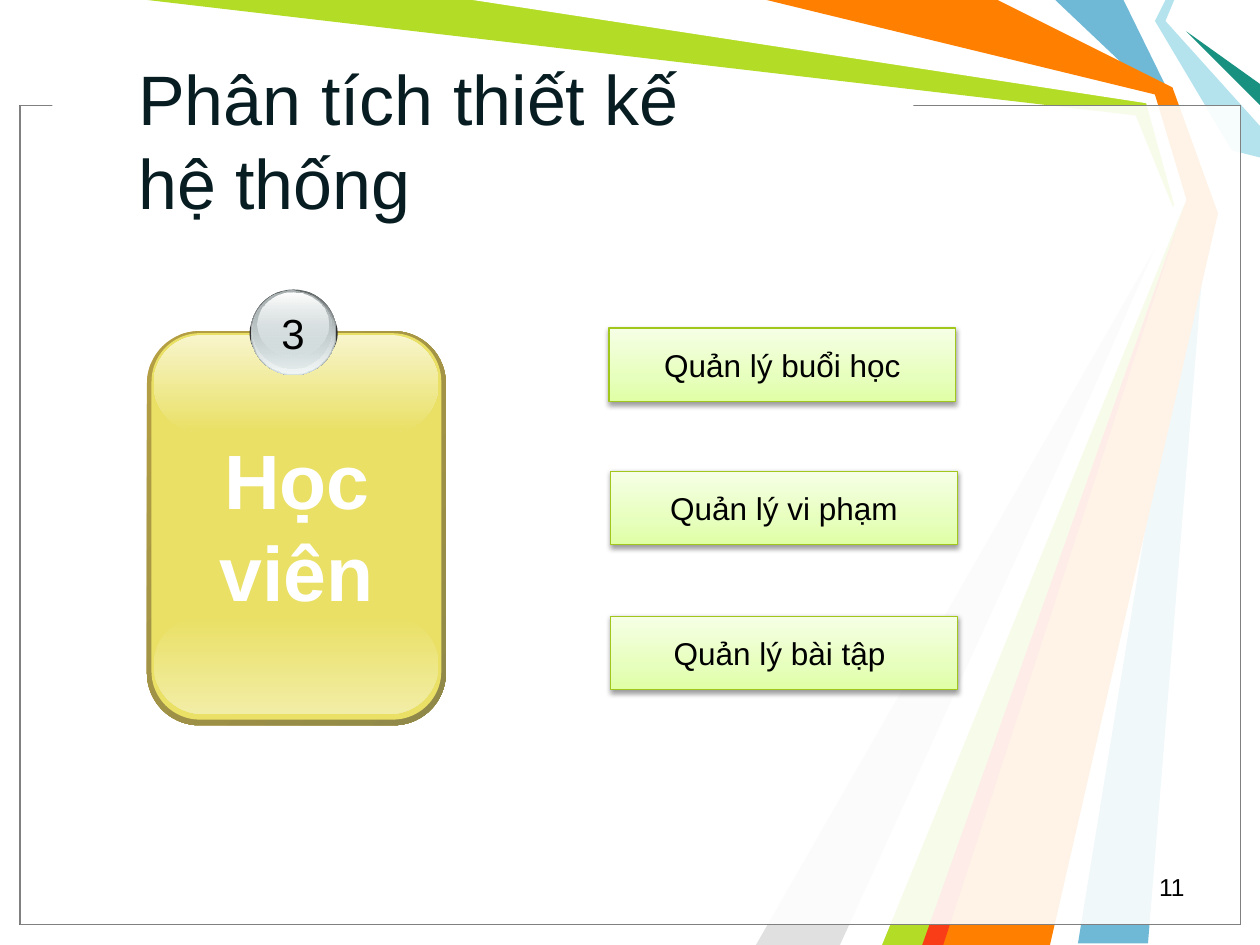
from lxml import etree
from pptx import Presentation
from pptx.dml.color import RGBColor as RGB
from pptx.enum.shapes import MSO_SHAPE as SHAPE
from pptx.enum.text import MSO_ANCHOR as ANCHOR, PP_ALIGN as ALIGN
from pptx.oxml import parse_xml
from pptx.oxml.ns import nsdecls, qn
from pptx.util import Pt

THEME = {
    "font": "Arial",
    "title_size": 40, "card_size": 44, "badge_size": 24, "button_size": 18, "page_size": 14,
    "title": "081D22", "text": "000000", "white": "FFFFFF",
    "blue": "6FB9D7", "green": "B3DC27", "grey": "E0E0E0", "pale": "B4E3EE",
    "teal": "189180", "orange": "FF7F00", "red": "F93D17",
    "frame": "808080", "button_line": "A1C71D", "card": "E9E065", "badge_rim": "333333",
    # Gradient stops: position, colour, opacity
    "button": [(0, "DFFFA4", 100), (35, "E7FFBE", 100), (100, "F6FFE6", 100)],
    "card_rim": [(0, "B59F43", 100), (100, "8F8849", 100)],
    "card_foot": [(0, "E9E065", 100), (100, "F2EDA6", 100)],
    "card_head": [(0, "F8F5CC", 100), (100, "E9E065", 100)],
    "badge_edge": [(0, "636869", 100), (100, "D6E1E2", 100)],
    "badge_body": [(0, "D6E1E2", 0), (100, "F1F5F5", 100)],
    "badge_shade": [(0, "AAB2B3", 100), (100, "D6E1E2", 48)],
    "badge_gloss": [(0, "FFFFFF", 100), (100, "D6E1E2", 38)],
}

prs = Presentation()
prs.slide_width, prs.slide_height = Pt(720), Pt(540)
shapes = prs.slides.add_slide(prs.slide_layouts[6]).shapes


def paint(s, fill, angle=90, line=None, opacity=100):
    """Fill with a theme colour or a list of gradient stops, and set the outline."""
    s.shadow.inherit = False
    fill = THEME[fill]
    if isinstance(fill, str):
        s.fill.solid()
        s.fill.fore_color.rgb = RGB.from_string(fill)
        if opacity < 100:
            color = s._element.spPr.find(qn("a:solidFill"))[0]
            etree.SubElement(color, qn("a:alpha"), val=str(opacity * 1000))
    else:
        stops = "".join(
            f'<a:gs pos="{pos * 1000}"><a:srgbClr val="{color}">'
            f'<a:alpha val="{alpha * 1000}"/></a:srgbClr></a:gs>'
            for pos, color, alpha in fill)
        s.fill.background()
        spPr = s._element.spPr
        spPr.replace(spPr.find(qn("a:noFill")), parse_xml(
            f'<a:gradFill {nsdecls("a")} rotWithShape="1"><a:gsLst>{stops}</a:gsLst>'
            f'<a:lin ang="{angle * 60000}" scaled="0"/></a:gradFill>'))
    if line:
        s.line.color.rgb = RGB.from_string(THEME[line])
        s.line.width = Pt(0.75)
    else:
        s.line.fill.background()


def write(s, text, role, color="text", align=ALIGN.LEFT, anchor=ANCHOR.TOP, bold=False, wrap=True):
    """Put text into a shape, one paragraph for each line."""
    tf = s.text_frame
    tf.text = text
    tf.word_wrap = wrap
    tf.vertical_anchor = anchor
    for p in tf.paragraphs:
        p.alignment = align
        for r in p.runs:
            r.font.name = THEME["font"]
            r.font.size = Pt(THEME[role])
            r.font.bold = bold
            r.font.color.rgb = RGB.from_string(THEME[color])


# Background ribbons
ribbons = [
    ("blue", [(642, 0), (669, 55), (690, 120), (656, 539), (616, 539), (684, 120), (660, 54), (603, 0)]),
    ("green", [(84, 0), (276, 0), (658, 56), (678, 122), (534, 540), (498, 540), (673, 125), (649, 66)]),
    ("grey", [(480, 540), (667, 130), (432, 540)]),
    ("white", [(270, 0), (655, 59), (671, 117), (486, 540), (504, 540), (678, 114), (660, 54), (432, 0)]),
    ("pale", [(666, 0), (660, 12), (704, 86), (720, 90), (720, 72), (666, 12), (671, 0)]),
    ("teal", [(720, 60), (678, 18), (720, 48)]),
    ("orange", [(438, 0), (570, 0), (670, 50), (696, 122), (600, 540), (528, 540), (678, 114), (660, 54)]),
    ("red", [(527, 540), (672, 132), (539, 540)]),
]
for color, points in ribbons:
    outline = shapes.build_freeform(*points[0], scale=Pt(1))
    outline.add_line_segments(points[1:], close=True)
    paint(outline.convert_to_shape(), color)

# Translucent frame, in two layers, with a gap for the title
for line in ("text", "frame"):
    s = shapes.add_shape(SHAPE.RECTANGLE, Pt(11.4), Pt(60.4), Pt(697.6), Pt(468))
    paint(s, "white", line=line, opacity=69)
s = shapes.add_shape(SHAPE.RECTANGLE, Pt(30), Pt(53.5), Pt(492), Pt(12))
paint(s, "white")

# Title
s = shapes.add_textbox(Pt(72), Pt(54), Pt(474), Pt(52))
write(s, "Phân tích thiết kế\nhệ thống", "title_size", "title", anchor=ANCHOR.MIDDLE)

# Function buttons
buttons = [(348, 187.5, "Quản lý buổi học"), (349, 269.3, "Quản lý vi phạm"),
           (349, 352.2, "Quản lý bài tập ")]
for left, top, label in buttons:
    s = shapes.add_shape(SHAPE.RECTANGLE, Pt(left), Pt(top), Pt(198), Pt(42))
    paint(s, "button", angle=270, line="button_line")
    s._element.spPr.find(qn("a:effectLst")).append(parse_xml(
        f'<a:outerShdw {nsdecls("a")} blurRad="{Pt(3.1)}" dist="{Pt(1.6)}" dir="5400000" '
        'rotWithShape="0"><a:srgbClr val="000000"><a:alpha val="38000"/></a:srgbClr></a:outerShdw>'))
    write(s, label, "button_size", align=ALIGN.CENTER, anchor=ANCHOR.MIDDLE)

# Card layers: fill, gradient angle, corner, box
card = [
    ("card_rim", 45, 0.175, (84, 189.2, 170.8, 225.2)),
    ("card", 90, 0.167, (86.6, 190.4, 165.6, 220.8)),
    ("card_foot", 90, 0.5, (87.8, 352, 162.8, 56)),
    ("card_head", 90, 0.5, (87.8, 191.4, 162.8, 55.6)),
]
for fill, angle, corner, box in card:
    s = shapes.add_shape(SHAPE.ROUNDED_RECTANGLE, *map(Pt, box))
    s.adjustments[0] = corner
    paint(s, fill, angle)

# Badge layers
badge = [
    ("badge_rim", (142.6, 170, 50.4, 41)),
    ("badge_edge", (143.2, 165.4, 49, 49)),
    ("badge_body", (143.8, 165.8, 47.6, 47.6)),
    ("badge_shade", (144.2, 166.2, 45.2, 44.6)),
    ("badge_gloss", (147, 167.2, 40.6, 36)),
]
for fill, box in badge:
    s = shapes.add_shape(SHAPE.OVAL, *map(Pt, box))
    paint(s, fill)

# Card text
s = shapes.add_textbox(Pt(153.4), Pt(172), Pt(28), Pt(36.7))
write(s, "3", "badge_size", align=ALIGN.CENTER, wrap=False)
s = shapes.add_textbox(Pt(88.6), Pt(243.4), Pt(162), Pt(113.8))
write(s, "Học viên", "card_size", "white", align=ALIGN.CENTER, bold=True)

# Page number
s = shapes.add_textbox(Pt(516), Pt(494.6), Pt(168), Pt(24))
write(s, "11", "page_size", align=ALIGN.RIGHT)

prs.save("out.pptx")
